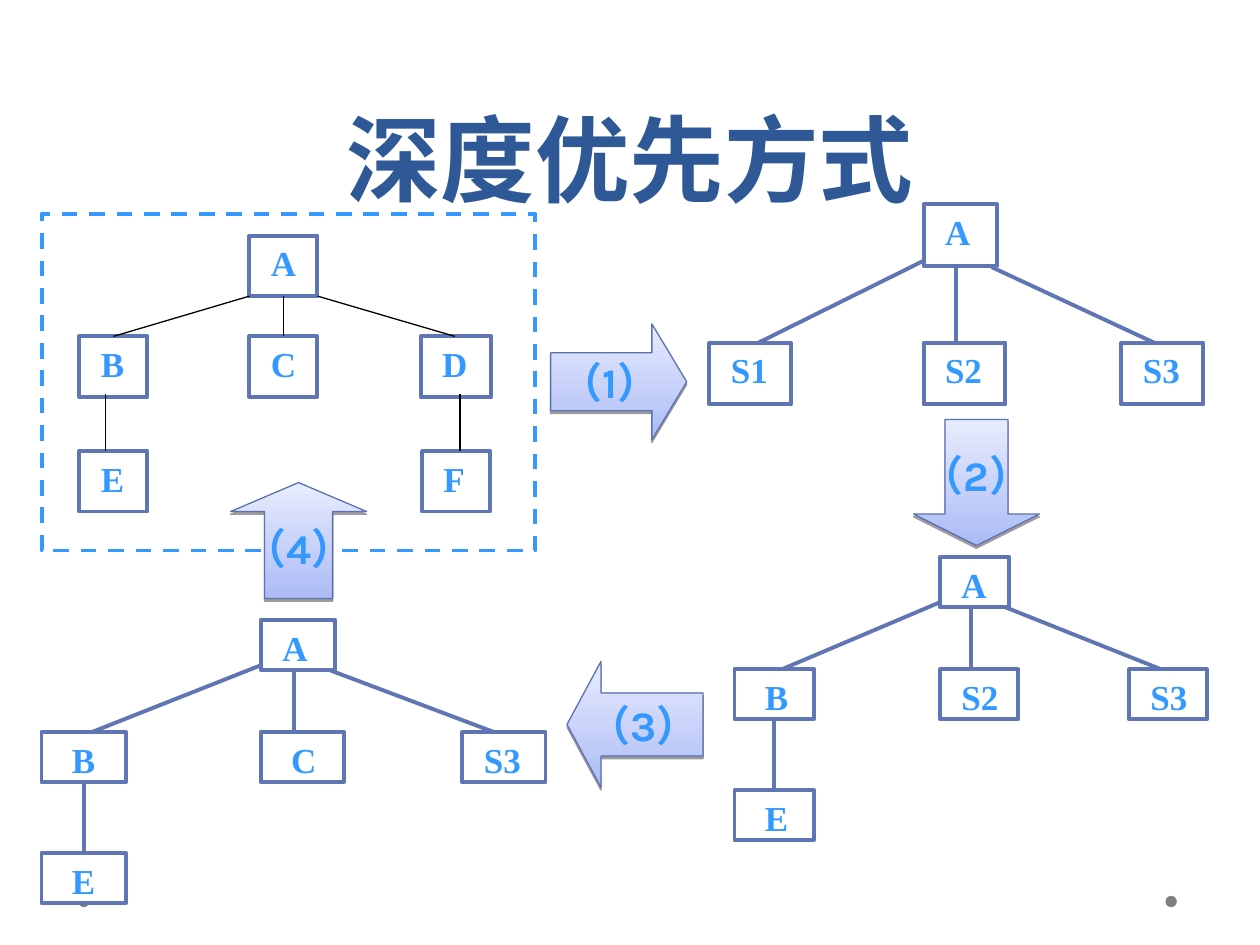
from lxml.etree import SubElement
from pptx import Presentation
from pptx.dml.color import RGBColor
from pptx.enum.dml import MSO_LINE
from pptx.enum.shapes import MSO_CONNECTOR, MSO_SHAPE
from pptx.enum.text import MSO_ANCHOR, PP_ALIGN
from pptx.oxml.ns import qn
from pptx.util import Inches, Pt

BLUE, EDGE, BLACK = "3399FF", "6076B4", "000000"


def rgb(code):
    """Turn a hex string into a colour."""
    return RGBColor.from_string(code)


def write(shape, text, size, font, color, align, anchor):
    """Put one bold run into a shape."""
    frame = shape.text_frame
    frame.vertical_anchor = anchor
    par = frame.paragraphs[0]
    par.alignment = align
    run = par.add_run()
    run.text = text
    run.font.size = Pt(size)
    run.font.name = font
    run.font.bold = True
    run.font.color.rgb = rgb(color)
    return par


def block(slide, kind, box, fill, line, weight):
    """Add a preset shape, with no fill or line where the colour is None."""
    shape = slide.shapes.add_shape(kind, *map(Inches, box))
    shape.shadow.inherit = False
    if fill:
        shape.fill.solid()
        shape.fill.fore_color.rgb = rgb(fill)
    else:
        shape.fill.background()
    if line:
        shape.line.color.rgb = rgb(line)
        shape.line.width = Pt(weight)
    else:
        shape.line.fill.background()
    return shape


def node(slide, box, text, pad):
    """Draw one tree node with its label set in from the left."""
    shape = block(slide, MSO_SHAPE.RECTANGLE, box, "FFFFFF", EDGE, 2.25)
    frame = shape.text_frame
    frame.word_wrap = True
    frame.margin_left = Inches(pad)
    write(shape, text, 20, "Times New Roman", BLUE, PP_ALIGN.LEFT, MSO_ANCHOR.TOP)


def link(slide, ends, color, weight):
    """Draw a plain line between two points."""
    line = slide.shapes.add_connector(MSO_CONNECTOR.STRAIGHT, *map(Inches, ends))
    line.line.color.rgb = rgb(color)
    line.line.width = Pt(weight)
    SubElement(line._element.spPr, qn("a:effectLst"))


def tree(slide, box, high, rows, nodes, links, color=EDGE, weight=2.25, inset=0.17):
    """Draw nodes (text, left, row, width) and links from the box corner."""
    left, top = box
    for text, x, row, wide in nodes:
        pad = inset if row and len(text) == 1 else 0.17
        node(slide, (left + x, top + rows[row], wide, high), text, pad)
    for x1, y1, x2, y2 in links:
        link(slide, (left + x1, top + y1, left + x2, top + y2), color, weight)


def goal(slide, box):
    """Draw the full tree inside its dashed frame."""
    nodes = [("A", 1.65, 0, 0.54), ("B", 0.3, 1, 0.54), ("C", 1.65, 1, 0.54),
             ("D", 3.01, 1, 0.56), ("E", 0.3, 2, 0.54), ("F", 3.02, 2, 0.54)]
    links = [(1.65, 0.65, 0.57, 0.97), (2.19, 0.65, 3.28, 0.97),
             (1.92, 0.65, 1.92, 0.97), (0.51, 1.43, 0.51, 1.88),
             (3.32, 1.43, 3.32, 1.88)]
    tree(slide, box[:2], 0.48, (0.17, 0.97, 1.88), nodes, links, BLACK, 0.75)
    frame = block(slide, MSO_SHAPE.RECTANGLE, box, None, BLUE, 2.25)
    frame.line.dash_style = MSO_LINE.DASH


def start(slide, box):
    """Draw the first tree, with three open states."""
    nodes = [("A", 1.7, 0, 0.58), ("S1", 0, 1, 0.65),
             ("S2", 1.7, 1, 0.65), ("S3", 3.27, 1, 0.65)]
    links = [(1.7, 0.45, 0.39, 1.1), (2.24, 0.5, 3.53, 1.1),
             (1.96, 0.5, 1.96, 1.09)]
    tree(slide, box, 0.49, (0, 1.1), nodes, links)


def step(slide, box, mid, wide, root, names, ends):
    """Draw a three-level tree whose left branch is fully grown."""
    first, second, third = names
    far, bend, tip, stem = ends
    nodes = [("A", mid, 0, root), (first, 0, 1, wide), (second, mid, 1, wide - 0.01),
             (third, far, 1, wide - 0.01), ("E", 0, 2, wide)]
    links = [(mid, 0.36, tip, 0.89), (bend, 0.4, far + 0.25, 0.89),
             (stem, 0.4, stem, 0.89), (wide / 2, 1.28, wide / 2, 1.85)]
    tree(slide, box, 0.4, (0, 0.89, 1.85), nodes, links, inset=0.24)


def arrow(slide, kind, box, head, text):
    """Draw a shaded block arrow with its step number."""
    shape = block(slide, kind, box, None, "5C72B2", 0.75)
    shape.adjustments[0] = 0.5
    shape.adjustments[1] = head
    shape.fill.gradient()
    shape.fill.gradient_angle = 90
    for stop, (spot, code) in zip(shape.fill.gradient_stops,
                                  ((0, "ACBBF6"), (1, "E8ECFD"))):
        stop.position = spot
        stop.color.rgb = rgb(code)
    glow = shape._element.spPr.find(qn("a:effectLst"))
    drop = SubElement(glow, qn("a:outerShdw"), blurRad="0", dist=str(Pt(1.6)),
                      dir="5400000", rotWithShape="0")
    tint = SubElement(drop, qn("a:srgbClr"), val=BLACK)
    SubElement(tint, qn("a:alpha"), val="38000")
    shape.text_frame.word_wrap = False
    write(shape, text, 24, "Karla", BLUE, PP_ALIGN.CENTER, MSO_ANCHOR.MIDDLE)


def title(slide, box, text):
    """Write the heading at the foot of its box."""
    shape = slide.shapes.add_textbox(*map(Inches, box))
    shape.text_frame.word_wrap = True
    par = write(shape, text, 54, "Karla", "2F5897", PP_ALIGN.CENTER, MSO_ANCHOR.BOTTOM)
    par.line_spacing = Pt(58)


def main():
    """Build the slide and save it."""
    deck = Presentation()
    deck.slide_width, deck.slide_height = Inches(10), Inches(7.5)
    slide = deck.slides.add_slide(deck.slide_layouts[6])
    for x in (9.25, 0.62):
        block(slide, MSO_SHAPE.OVAL, (x, 7.11, 0.09, 0.09), "7F7F7F", None, 0)
    goal(slide, (0.33, 1.7, 3.92, 2.67))
    start(slide, (5.63, 1.62))
    step(slide, (5.83, 4.42), 1.63, 0.63, 0.55, ("B", "S2", "S3"),
         (3.13, 2.15, 0.38, 1.88))
    step(slide, (0.33, 4.92), 1.74, 0.67, 0.59, ("B", "C", "S3"),
         (3.34, 2.29, 0.4, 2))
    arrows = [(MSO_SHAPE.RIGHT_ARROW, (4.37, 2.57, 1.08, 0.92), 0.3),
              (MSO_SHAPE.DOWN_ARROW, (7.25, 3.33, 1, 1), 0.25),
              (MSO_SHAPE.LEFT_ARROW, (4.5, 5.25, 1.08, 1), 0.27),
              (MSO_SHAPE.UP_ARROW, (1.83, 3.83, 1.08, 0.92), 0.25)]
    for num, (kind, box, head) in enumerate(arrows, 1):
        arrow(slide, kind, box, head, f"（{num}）")
    title(slide, (0.5, 0, 9, 1.75), "深度优先方式")
    deck.save("out.pptx")


if __name__ == "__main__":
    main()
